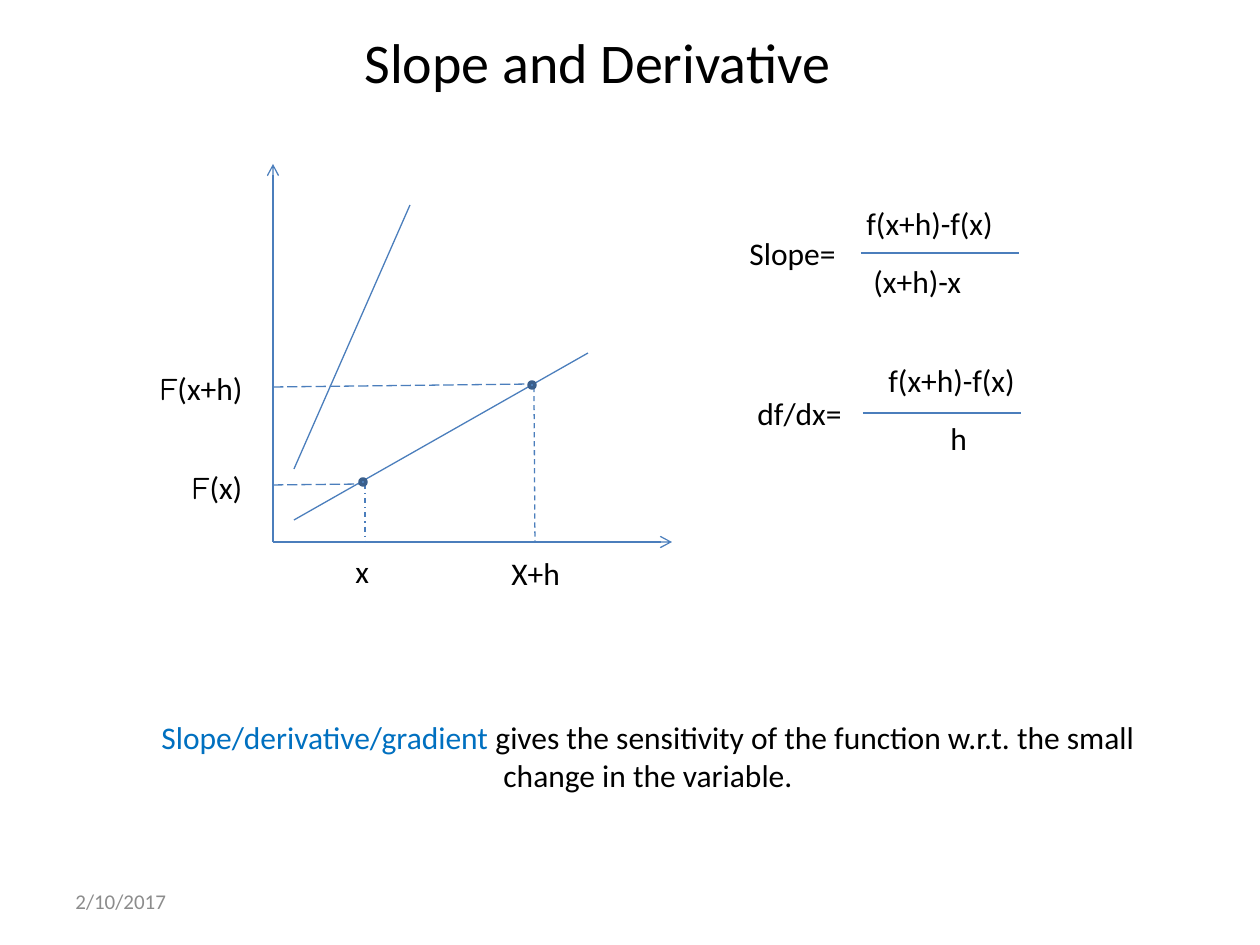
import pptx
import pptx.util
import pptx.dml.color
import pptx.enum.dml
import pptx.enum.shapes
import pptx.enum.text
import pptx.oxml
import pptx.oxml.ns

RGBColor = pptx.dml.color.RGBColor
DASH = pptx.enum.dml.MSO_LINE
ALIGN = pptx.enum.text.PP_ALIGN
BLACK = RGBColor(0x00, 0x00, 0x00)
GRAY = RGBColor(0x8C, 0x8C, 0x8C)
ACCENT = RGBColor(0x00, 0x70, 0xC0)
LINE = RGBColor(0x4B, 0x7E, 0xBC)
DOT_FILL = RGBColor(0x4F, 0x81, 0xBD)
DOT_LINE = RGBColor(0x3A, 0x5F, 0x8C)
FONT = "Calibri"
SYMBOL_FONT = "Comic Neue"


def px(n):
    """Convert pixels to EMU at 126 pixels to the inch."""
    return pptx.util.Emu(n * 914400 // 126)


def add_text(s, box, runs, size=18, align=ALIGN.LEFT, wrap=True, middle=False):
    """Add a text box holding one paragraph of (text, font, colour) runs."""
    sp = s.shapes.add_textbox(*map(px, box))
    tf = sp.text_frame
    tf.word_wrap = wrap
    if middle:
        tf.vertical_anchor = pptx.enum.text.MSO_ANCHOR.MIDDLE
    p = tf.paragraphs[0]
    p.alignment = align
    for text, font, color in runs:
        r = p.add_run()
        r.text = text
        r.font.name = font
        r.font.size = pptx.util.Pt(size)
        r.font.color.rgb = color
    return sp


def add_line(s, x1, y1, x2, y2, dash=None, arrow=False):
    """Add a thin straight line, dashed or with an arrowhead on request."""
    kind = pptx.enum.shapes.MSO_CONNECTOR.STRAIGHT
    sp = s.shapes.add_connector(kind, px(x1), px(y1), px(x2), px(y2))
    sp.line.color.rgb = LINE
    sp.line.width = pptx.util.Pt(0.75)
    if dash:
        sp.line.dash_style = dash
    if arrow:
        tail = pptx.oxml.parse_xml(
            f'<a:tailEnd {pptx.oxml.ns.nsdecls("a")} type="arrow"/>')
        sp.line._get_or_add_ln().append(tail)
    effects = pptx.oxml.parse_xml(f'<a:effectLst {pptx.oxml.ns.nsdecls("a")}/>')
    sp._element.spPr.append(effects)
    return sp


def add_dot(s, x, y, size=6):
    """Add a small round point marker."""
    kind = pptx.enum.shapes.MSO_SHAPE.FLOWCHART_CONNECTOR
    sp = s.shapes.add_shape(kind, px(x), px(y), px(size), px(size))
    sp.shadow.inherit = False
    sp.fill.solid()
    sp.fill.fore_color.rgb = DOT_FILL
    sp.line.color.rgb = DOT_LINE
    sp.line.width = pptx.util.Pt(2)


def add_plot(s, left, top):
    """Draw the axes, two slopes, marked points, guides and labels."""
    axis_x, axis_y = 126, 378
    lines = [
        (axis_x, axis_y, 525, axis_y, None, True),
        (axis_x, axis_y, axis_x, 0, None, True),
        (147, 305, 263, 41, None, False),
        (147, 356, 441, 189, None, False),
        (218, 320, 218, axis_y, DASH.DASH_DOT, False),
        (387, 223, 388, axis_y, DASH.DASH, False),
        (axis_x, 321, 218, 320, DASH.LONG_DASH, False),
        (axis_x, 223, 388, 220, DASH.LONG_DASH, False),
    ]
    for x1, y1, x2, y2, dash, arrow in lines:
        add_line(s, left + x1, top + y1, left + x2, top + y2, dash, arrow)
    for x, y in [(213, 315), (382, 218)]:
        add_dot(s, left + x, top + y)
    labels = [
        (196, 382, 40, "", "x"),
        (352, 384, 93, "", "X+h"),
        (32, 298, 94, "F", "(x)"),
        (0, 199, 126, "F", "(x+h)"),
    ]
    for x, y, w, symbol, text in labels:
        runs = [(text, FONT, BLACK)]
        if symbol:
            runs.insert(0, (symbol, SYMBOL_FONT, BLACK))
        add_text(s, (left + x, top + y, w, 51), runs)


def add_fraction(s, left, top, label, bottom, bar_x, bar_y, num_x, den_x):
    """Set a label beside a difference quotient with a fraction bar."""
    parts = [
        (0, bar_y - 25, 119, label, False),
        (num_x, 0, 198, "f(x+h)-f(x)", True),
        (den_x, 58, 158, bottom, True),
    ]
    for x, y, w, text, wrap in parts:
        add_text(s, (left + x, top + y, w, 51), [(text, FONT, BLACK)], wrap=wrap)
    add_line(s, left + bar_x, top + bar_y, left + bar_x + 158, top + bar_y)


def main():
    """Build and save the slide."""
    prs = pptx.Presentation()
    prs.slide_width, prs.slide_height = px(1260), px(945)
    s = prs.slides.add_slide(prs.slide_layouts[6])
    add_text(s, (352, 21, 593, 81), [("Slope and Derivative", FONT, BLACK)], 32)
    add_plot(s, 147, 164)
    add_fraction(s, 737, 198, "Slope=", "(x+h)-x", 124, 55, 117, 124)
    add_fraction(s, 745, 355, "df/dx=", "h", 118, 58, 131, 193)
    add_text(s, (123, 712, 1050, 89), [
        ("Slope/derivative/gradient", FONT, ACCENT),
        (" gives the sensitivity of the function w.r.t. the small "
         "change in the variable.", FONT, BLACK),
    ], align=ALIGN.CENTER)
    add_text(s, (63, 876, 294, 50), [("2/10/2017", FONT, GRAY)], 12, middle=True)
    prs.save("out.pptx")


if __name__ == "__main__":
    main()
